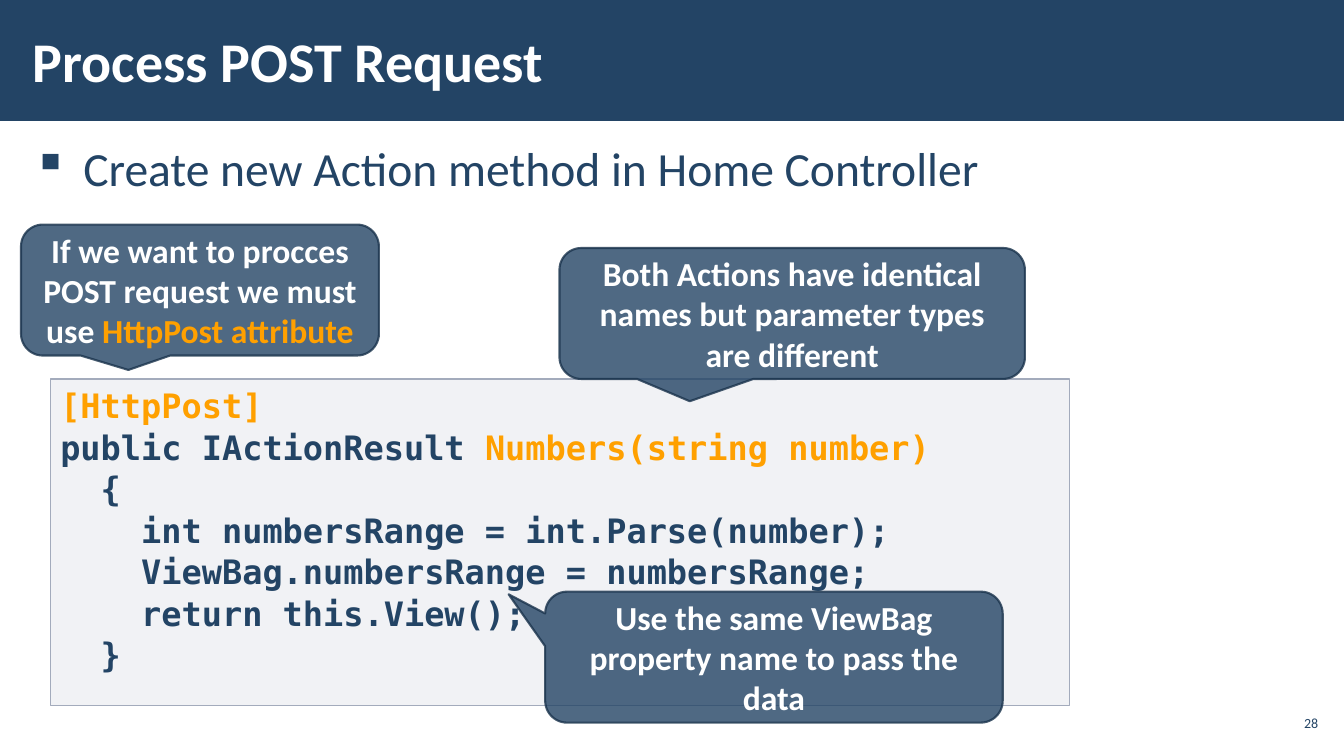
"""Builds the slide on handling a POST request."""
from dataclasses import dataclass

from lxml.etree import SubElement
from pptx import Presentation
from pptx.dml.color import RGBColor
from pptx.enum.shapes import MSO_SHAPE
from pptx.enum.text import MSO_ANCHOR, PP_ALIGN
from pptx.oxml.ns import qn
from pptx.util import Cm, Pt


@dataclass(frozen=True)
class Theme:
    """Colours, fonts and type sizes of the slide."""
    navy: str = "234465"
    edge: str = "1A334C"
    grey: str = "A3ABBC"
    orange: str = "FFA000"
    white: str = "FFFFFF"
    sans: str = "Calibri"
    mono: str = "DejaVu Sans Mono"
    title: int = 40
    body: int = 34
    text: int = 24
    small: int = 10


@dataclass(frozen=True)
class Box:
    """Place and size in centimetres."""
    x: float
    y: float
    w: float
    h: float

    def lengths(self) -> tuple:
        """Return left, top, width and height."""
        return Cm(self.x), Cm(self.y), Cm(self.w), Cm(self.h)


@dataclass(frozen=True)
class Run:
    """A piece of text in one colour."""
    text: str
    color: str


@dataclass(frozen=True)
class Callout:
    """A speech bubble with its pointer tip."""
    box: Box
    tip: tuple
    runs: tuple


T = Theme()

CODE = (
    (Run("[HttpPost]", T.orange),),
    (Run("public IActionResult ", T.navy), Run("Numbers(string number)", T.orange)),
    (Run("  {", T.navy),),
    (Run("    int numbersRange = int.Parse(number);", T.navy),),
    (Run("    ViewBag.numbersRange = numbersRange;", T.navy),),
    (Run("    return this.View();", T.navy),),
    (Run("  }", T.navy),),
)

CALLOUTS = (
    Callout(Box(0.53, 5.66, 9.02, 3.3), (-0.2, 0.61),
            (Run("If we want to procces POST request we must use ", T.white),
             Run("HttpPost attribute", T.orange))),
    Callout(Box(14.1, 6.25, 11.73, 3.3), (-0.22, 0.67),
            (Run("Both Actions have identical names but parameter types are different",
                 T.white),)),
    Callout(Box(13.74, 14.91, 11.53, 3.3), (-0.58, -0.48),
            (Run("Use the same ViewBag property name to pass the data", T.white),)),
)


def apply(target, fmt: dict) -> None:
    """Set every attribute named in the format."""
    for name, value in fmt.items():
        setattr(target, name, value)


def paint(fill, color: str, opacity: int = 100) -> None:
    """Fill with a solid colour at an opacity in percent."""
    fill.solid()
    fill.fore_color.rgb = RGBColor.from_string(color)
    if opacity < 100:
        clr = fill._xPr.find(qn("a:solidFill"))[0]
        SubElement(clr, qn("a:alpha"), val=str(opacity * 1000))


def add_box(s, kind, box: Box, color: str, opacity: int = 100):
    """Add a filled shape with no line and no shadow."""
    sp = s.shapes.add_shape(kind, *box.lengths())
    sp.shadow.inherit = False
    paint(sp.fill, color, opacity)
    sp.line.fill.background()
    return sp


def outline(sp, color: str, width: float, opacity: int = 100) -> None:
    """Give the shape a line."""
    sp.line.width = Pt(width)
    paint(sp.line.fill, color, opacity)


def write(tf, lines: tuple, frame: dict, para: dict, font: dict) -> None:
    """Write lines of runs into a text frame."""
    apply(tf, {"word_wrap": True, **frame})
    for i, runs in enumerate(lines):
        p = tf.paragraphs[0] if i == 0 else tf.add_paragraph()
        apply(p, para)
        for run in runs:
            r = p.add_run()
            r.text = run.text
            apply(r.font, font)
            r.font.color.rgb = RGBColor.from_string(run.color)


def add_text(s, box: Box, run: Run, frame: dict, para: dict, font: dict):
    """Add a one-paragraph text box and return its paragraph."""
    tf = s.shapes.add_textbox(*box.lengths()).text_frame
    write(tf, ((run,),), frame, para, font)
    return tf.paragraphs[0]


def add_bullet(p, char: str, indent: float) -> None:
    """Give the paragraph a hanging bullet."""
    pPr = p._p.get_or_add_pPr()
    pPr.set("marL", str(Cm(indent)))
    pPr.set("indent", str(-Cm(indent)))
    SubElement(pPr, qn("a:buChar"), char=char)


def add_callout(s, c: Callout) -> None:
    """Add a translucent speech bubble."""
    sp = add_box(s, MSO_SHAPE.ROUNDED_RECTANGULAR_CALLOUT, c.box, T.navy, 80)
    outline(sp, T.edge, 1.5, 80)
    for i, value in enumerate(c.tip):
        sp.adjustments[i] = value
    write(sp.text_frame, (c.runs,), {"vertical_anchor": MSO_ANCHOR.MIDDLE},
          {"alignment": PP_ALIGN.CENTER},
          {"name": T.sans, "size": Pt(T.text), "bold": True})


def main() -> None:
    """Build and save the slide."""
    prs = Presentation()
    apply(prs, {"slide_width": Cm(33.87), "slide_height": Cm(19.05)})
    s = prs.slides.add_slide(prs.slide_layouts[6])
    paint(s.background.fill, T.white)
    add_box(s, MSO_SHAPE.RECTANGLE, Box(0, 0, 33.87, 3.05), T.navy)

    wide = {"margin_left": Cm(0.3), "margin_right": Cm(0.3),
            "margin_top": Cm(0.1), "margin_bottom": Cm(0.1)}
    tight = {name: Cm(0.1) for name in wide}
    middle = {"vertical_anchor": MSO_ANCHOR.MIDDLE}

    p = add_text(s, Box(0.53, 3.33, 32.82, 14.45),
                 Run("Create new Action method in Home Controller", T.navy), wide,
                 {"line_spacing": 1.05, "space_after": Pt(6)},
                 {"name": T.sans, "size": Pt(T.body)})
    add_bullet(p, "▪", 1.27)
    add_text(s, Box(0.53, 0.28, 26.42, 2.46), Run("Process POST Request", T.white),
             {**wide, **middle}, {},
             {"name": T.sans, "size": Pt(T.title), "bold": True})
    add_text(s, Box(32.13, 17.78, 1.19, 0.86), Run("28", T.navy),
             {**tight, **middle}, {"alignment": PP_ALIGN.RIGHT},
             {"name": T.sans, "size": Pt(T.small)})

    code = add_box(s, MSO_SHAPE.RECTANGLE, Box(1.27, 9.55, 25.68, 8.23), T.grey, 15)
    outline(code, T.grey, 1)
    write(code.text_frame, CODE, {"vertical_anchor": MSO_ANCHOR.TOP},
          {"alignment": PP_ALIGN.LEFT, "line_spacing": 1.03},
          {"name": T.mono, "size": Pt(T.text), "bold": True})
    for callout in CALLOUTS:
        add_callout(s, callout)
    prs.save("out.pptx")


if __name__ == "__main__":
    main()
